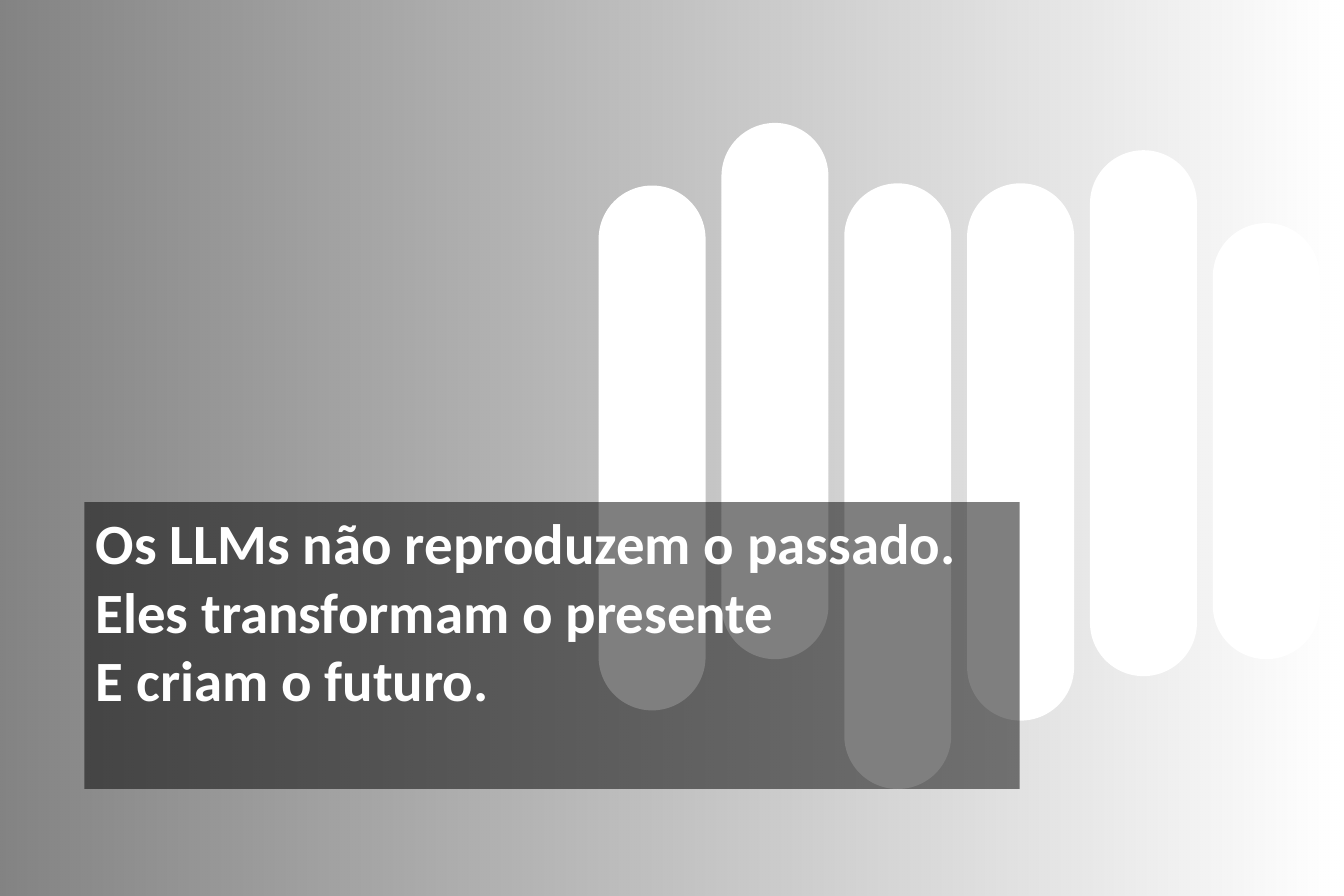
from dataclasses import dataclass

from lxml.etree import SubElement
from pptx import Presentation
from pptx.dml.color import RGBColor
from pptx.enum.shapes import MSO_SHAPE
from pptx.enum.text import MSO_ANCHOR, MSO_AUTO_SIZE, PP_ALIGN
from pptx.oxml.ns import qn
from pptx.util import Inches, Pt


@dataclass(frozen=True)
class Theme:
    """Colours, opacities, type and slide size."""

    dark: RGBColor = RGBColor(0, 0, 0)
    light: RGBColor = RGBColor(255, 255, 255)
    veil_opacity: tuple = (49, 0)
    panel_opacity: tuple = (50,)
    font: str = "Calibri"
    size: int = 36
    width: int = Inches(11.81)
    height: int = Inches(7.87)


THEME = Theme()
MESSAGE = (
    "Os LLMs não reproduzem o passado.",
    "Eles transformam o presente",
    "E criam o futuro.",
)
BAR_LEFT, BAR_STEP, BAR_WIDTH = 44.54, 9.14, 7.96
BAR_SPANS = (
    (20.71, 58.58),
    (13.72, 59.85),
    (20.46, 67.6),
    (20.46, 59.97),
    (16.77, 58.7),
    (24.9, 48.67),
)


def frame(left, top, width, height):
    """Turn percentages of the slide into lengths."""
    return (
        round(left * THEME.width / 100),
        round(top * THEME.height / 100),
        round(width * THEME.width / 100),
        round(height * THEME.height / 100),
    )


def set_format(target, values):
    """Set each named attribute on the target."""
    for name, value in values.items():
        setattr(target, name, value)


def set_opacity(shape, percentages):
    """Give each fill colour of the shape its opacity."""
    colours = shape.element.spPr.iter(qn("a:srgbClr"))
    for colour, percent in zip(colours, percentages):
        SubElement(colour, qn("a:alpha")).set("val", str(percent * 1000))


def add_plain_shape(page, kind, box):
    """Add a preset shape without outline or shadow."""
    shape = page.shapes.add_shape(kind, *frame(*box))
    shape.shadow.inherit = False
    shape.line.fill.background()
    return shape


def add_veil(page):
    """Cover the slide with a dark gradient that fades to the right."""
    veil = add_plain_shape(page, MSO_SHAPE.RECTANGLE, (0, 0, 100, 100))
    veil.fill.gradient()
    veil.fill.gradient_angle = 0
    for stop in veil.fill.gradient_stops:
        stop.color.rgb = THEME.dark
    set_opacity(veil, THEME.veil_opacity)


def add_bars(page):
    """Add the evenly spaced upright bars with round ends."""
    for column, (top, height) in enumerate(BAR_SPANS):
        box = (BAR_LEFT + column * BAR_STEP, top, BAR_WIDTH, height)
        bar = add_plain_shape(page, MSO_SHAPE.ROUNDED_RECTANGLE, box)
        bar.adjustments[0] = 0.5
        bar.fill.solid()
        bar.fill.fore_color.rgb = THEME.light


def place_message(page):
    """Place the title in front, on a translucent dark panel."""
    title = page.shapes.title
    page.shapes.element.append(title.element)
    left, top, width, height = frame(6.27, 56.04, 69.6, 32.02)
    set_format(title, {"left": left, "top": top, "width": width, "height": height})
    title.fill.solid()
    title.fill.fore_color.rgb = THEME.dark
    set_opacity(title, THEME.panel_opacity)
    text = title.text_frame
    text.text = "\n".join(MESSAGE)
    set_format(text, {
        "word_wrap": True,
        "auto_size": MSO_AUTO_SIZE.NONE,
        "vertical_anchor": MSO_ANCHOR.TOP,
    })
    for para in text.paragraphs:
        para.alignment = PP_ALIGN.LEFT
        for span in para.runs:
            set_format(span.font, {
                "name": THEME.font, "size": Pt(THEME.size), "bold": True,
            })
            span.font.color.rgb = THEME.light


def main():
    """Build and save the slide."""
    deck = Presentation()
    set_format(deck, {"slide_width": THEME.width, "slide_height": THEME.height})
    page = deck.slides.add_slide(deck.slide_layouts.get_by_name("Title Only"))
    add_veil(page)
    add_bars(page)
    place_message(page)
    deck.save("out.pptx")


if __name__ == "__main__":
    main()
